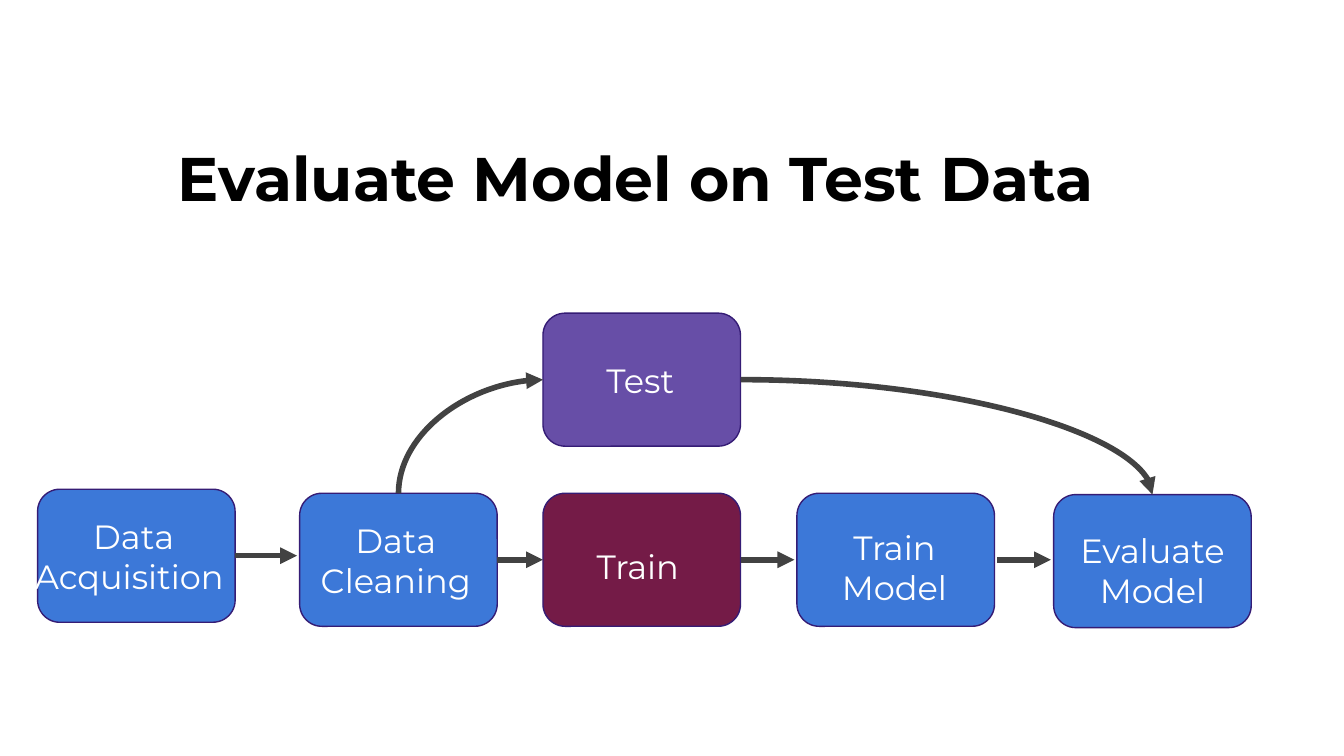
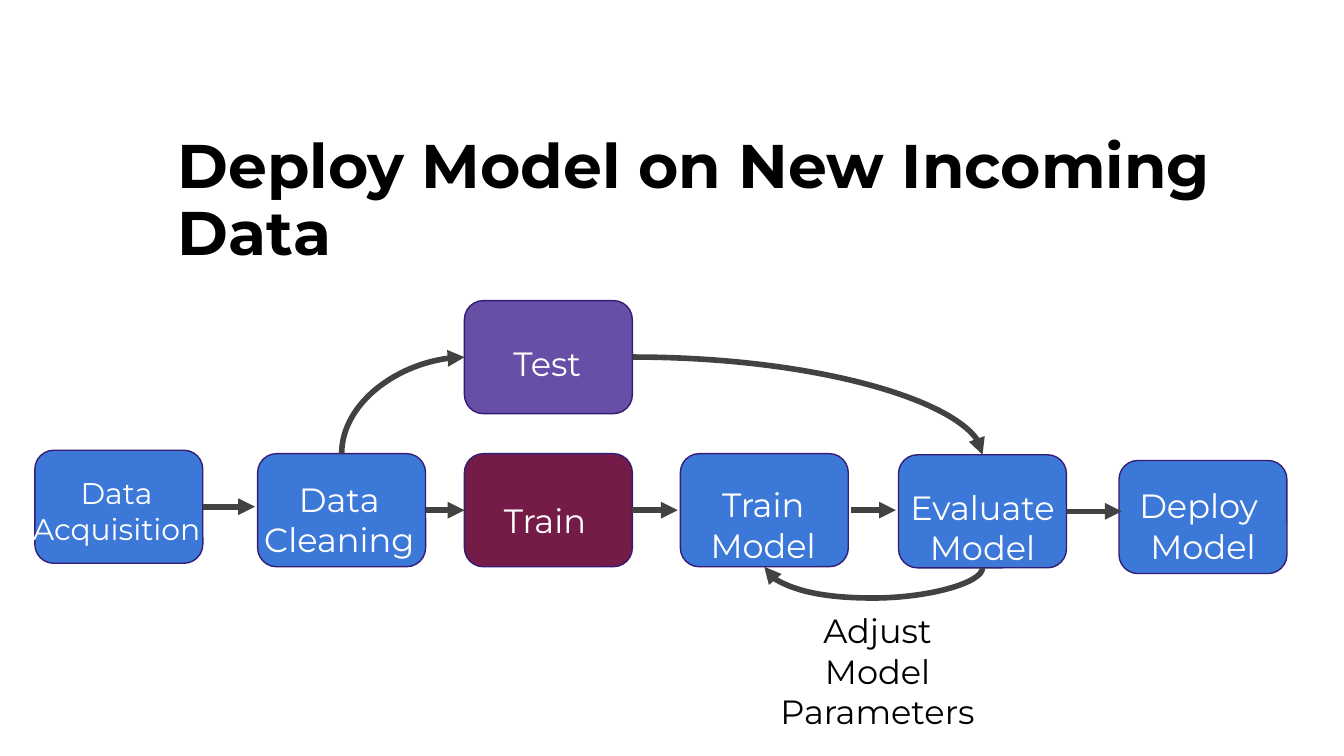
import pptx
import pptx.dml.color
import pptx.enum.shapes
import pptx.enum.text
import pptx.oxml
import pptx.oxml.ns
import pptx.util
from dataclasses import dataclass

SHAPE = pptx.enum.shapes.MSO_SHAPE
CONNECTOR = pptx.enum.shapes.MSO_CONNECTOR
ALIGN = pptx.enum.text.PP_ALIGN
TOP, LEFT, BOTTOM, RIGHT = range(4)


@dataclass(frozen=True)
class Theme:
    font: str = "Montserrat"
    black: str = "000000"
    white: str = "FFFFFF"
    blue: str = "3C78D8"
    purple: str = "674EA7"
    wine: str = "741B47"
    outline: str = "351C75"
    arrow: str = "424242"
    title_size: int = 33
    label_size: int = 18
    small_size: int = 16
    outline_width: float = 0.75
    arrow_width: int = 3


THEME = Theme()

# Pipeline at full scale: offset from the first box, label lines, fill,
# label offset within the box, label width
BOX = (1.47, 0.99)
LABEL_HEIGHT = 0.66
WIDE, NARROW = 1.71, 1.11
STEPS = {
    "acquire": ((0, 0), ["Data", "Acquisition "], THEME.blue, (-0.14, 0.10), WIDE),
    "clean": ((1.95, 0.03), ["Data", "Cleaning"], THEME.blue, (-0.14, 0.10), WIDE),
    "test": ((3.76, -1.31), ["Test"], THEME.purple, (0.17, 0.25), NARROW),
    "train": ((3.76, 0.03), ["Train"], THEME.wine, (0.15, 0.29), NARROW),
    "fit": ((5.65, 0.03), ["Train", "Model"], THEME.blue, (-0.13, 0.15), WIDE),
    "evaluate": ((7.56, 0.04), ["Evaluate", "Model"], THEME.blue, (-0.12, 0.16), WIDE),
    "deploy": ((9.49, 0.09), ["Deploy ", "Model"], THEME.blue, (-0.12, 0.10), WIDE),
}
# Straight arrows: from, to, gap at the start, gap at the end (0 is joined)
ARROWS = [
    ("acquire", "clean", 0, 0.02),
    ("clean", "train", 0, 0),
    ("train", "fit", 0, 0.02),
    ("fit", "evaluate", 0.02, 0.02),
    ("evaluate", "deploy", 0, -0.02),
]
SLIDES = [
    dict(title="Evaluate Model on Test Data", title_top=1, origin=(0.28, 3.64),
         scale=1, skip={"deploy"}, small=set(), loop=None),
    dict(title="Deploy Model on New Incoming Data", title_top=0.91,
         origin=(0.26, 3.35), scale=0.85, skip=set(), small={"acquire"},
         loop="Adjust Model Parameters"),
]
LOOP_DROP = 0.22
LOOP_LABEL = (5.66, 4.44, 1.74, 0.57)

inch = pptx.util.Inches


def rgb(value):
    return pptx.dml.color.RGBColor.from_string(value)


def write(tf, lines, size, color, align, bold=False, spacing=None):
    tf.word_wrap = True
    tf.auto_size = pptx.enum.text.MSO_AUTO_SIZE.NONE
    tf.vertical_anchor = pptx.enum.text.MSO_ANCHOR.TOP
    tf.margin_left = tf.margin_right = tf.margin_top = tf.margin_bottom = inch(0.1)
    for i, line in enumerate(lines):
        p = tf.add_paragraph() if i else tf.paragraphs[0]
        p.text = line
        p.alignment = align
        p.line_spacing = spacing
        p.font.name = THEME.font
        p.font.size = pptx.util.Pt(size)
        p.font.bold = bold
        p.font.color.rgb = rgb(color)


def add_label(slide, at, lines, size, color):
    sp = slide.shapes.add_textbox(*map(inch, at))
    write(sp.text_frame, lines, size, color, ALIGN.CENTER)


def add_step(slide, content, key):
    offset, lines, fill, label_offset, label_width = STEPS[key]
    k = content["scale"]
    x, y = (o + k * d for o, d in zip(content["origin"], offset))
    sp = slide.shapes.add_shape(SHAPE.ROUNDED_RECTANGLE,
                                *map(inch, (x, y, k * BOX[0], k * BOX[1])))
    sp.shadow.inherit = False
    sp.fill.solid()
    sp.fill.fore_color.rgb = rgb(fill)
    sp.line.color.rgb = rgb(THEME.outline)
    sp.line.width = pptx.util.Pt(THEME.outline_width)
    size = THEME.small_size if key in content["small"] else THEME.label_size
    add_label(slide, (x + k * label_offset[0], y + k * label_offset[1],
                      k * label_width, k * LABEL_HEIGHT), lines, size, THEME.white)
    return sp


def side(sp, n):
    return (sp.left + (sp.width // 2, 0, sp.width // 2, sp.width)[n],
            sp.top + (0, sp.height // 2, sp.height, sp.height // 2)[n])


def add_arrow(slide, kind, start, end):
    cxn = slide.shapes.add_connector(kind, *start, *end)
    cxn.line.color.rgb = rgb(THEME.arrow)
    cxn.line.width = pptx.util.Pt(THEME.arrow_width)
    ns = pptx.oxml.ns.nsdecls("a")
    spPr = cxn._element.spPr
    spPr.find(pptx.oxml.ns.qn("a:ln")).append(
        pptx.oxml.parse_xml(f'<a:tailEnd {ns} type="triangle"/>'))
    spPr.append(pptx.oxml.parse_xml(f"<a:effectLst {ns}/>"))
    return cxn


def add_straight(slide, a, b, start_gap, end_gap):
    x1, y1 = side(a, RIGHT)
    x2 = side(b, LEFT)[0]
    cxn = add_arrow(slide, CONNECTOR.STRAIGHT, (x1 + inch(start_gap), y1),
                    (x2 - inch(end_gap), y1))
    if not start_gap:
        cxn.begin_connect(a, RIGHT)
    if not end_gap:
        cxn.end_connect(b, LEFT)


def add_curve(slide, a, a_side, b, b_side, preset, quarter_turns=0, flip=False, drop=0):
    (x1, y1), (x2, y2) = side(a, a_side), side(b, b_side)
    cxn = add_arrow(slide, CONNECTOR.CURVE, (x1, y1), (x2, y2))
    cxn.begin_connect(a, a_side)
    cxn.end_connect(b, b_side)
    # A quarter turn swaps width and height around the same centre
    w, h = abs(x2 - x1), abs(y2 - y1)
    if quarter_turns % 2:
        w, h = h, w
    cxn.left, cxn.top = (x1 + x2 - w) // 2, (y1 + y2 - h) // 2
    cxn.width, cxn.height = w, h
    spPr = cxn._element.spPr
    xfrm = spPr.find(pptx.oxml.ns.qn("a:xfrm"))
    for name in ("flipH", "flipV"):
        xfrm.attrib.pop(name, None)
    if quarter_turns:
        xfrm.set("rot", str(quarter_turns * 5400000))
    if flip:
        xfrm.set("flipH", "1")
    geom = spPr.find(pptx.oxml.ns.qn("a:prstGeom"))
    geom.set("prst", preset)
    if drop:
        ns = pptx.oxml.ns.nsdecls("a")
        bend = round(-100000 * inch(drop) / w)
        for child in list(geom):
            geom.remove(child)
        geom.append(pptx.oxml.parse_xml(
            f'<a:avLst {ns}><a:gd name="adj1" fmla="val {bend}"/></a:avLst>'))


def build_slide(prs, content):
    slide = prs.slides.add_slide(prs.slide_layouts[5])

    # Title
    title = slide.shapes.title
    title.left, title.top = inch(1.22), inch(content["title_top"])
    title.width, title.height = inch(8.52), inch(0.63)
    write(title.text_frame, [content["title"]], THEME.title_size, THEME.black,
          ALIGN.LEFT, bold=True, spacing=0.9)

    # Steps and the arrows between them
    boxes = {key: add_step(slide, content, key)
             for key in STEPS if key not in content["skip"]}
    for a, b, start_gap, end_gap in ARROWS:
        if a in boxes and b in boxes:
            add_straight(slide, boxes[a], boxes[b], start_gap, end_gap)

    # Test branch
    add_curve(slide, boxes["clean"], TOP, boxes["test"], LEFT,
              "curvedConnector2", quarter_turns=3)
    add_curve(slide, boxes["test"], RIGHT, boxes["evaluate"], TOP, "curvedConnector2")

    # Feedback loop
    if content["loop"]:
        add_curve(slide, boxes["evaluate"], BOTTOM, boxes["fit"], BOTTOM,
                  "curvedConnector3", quarter_turns=1, flip=True, drop=LOOP_DROP)
        add_label(slide, LOOP_LABEL, [content["loop"]], THEME.label_size, THEME.black)


def main():
    prs = pptx.Presentation()
    prs.slide_width = inch(10)
    prs.slide_height = prs.slide_width * 9 // 16
    for content in SLIDES:
        build_slide(prs, content)
    prs.save("out.pptx")


if __name__ == "__main__":
    main()
